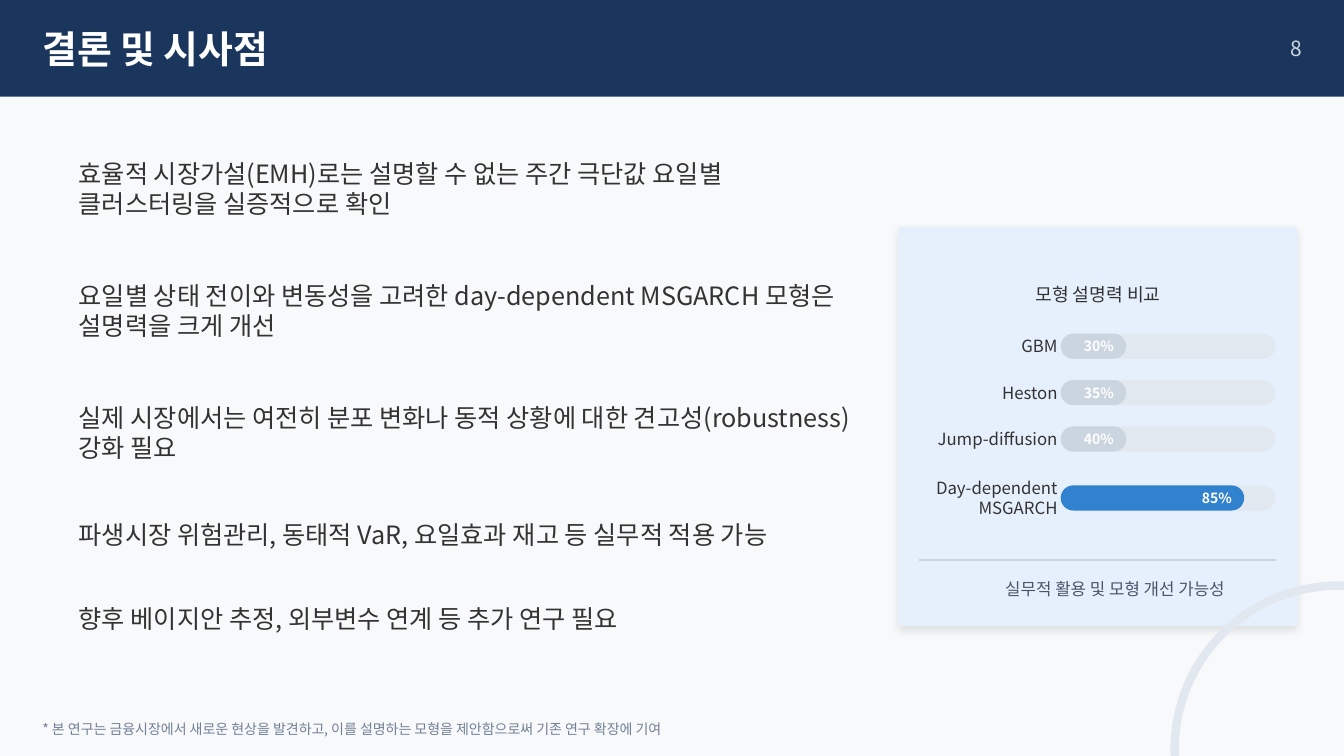
from lxml.etree import SubElement
from pptx import Presentation
from pptx.dml.color import RGBColor
from pptx.enum.shapes import MSO_CONNECTOR as Line, MSO_SHAPE as Kind
from pptx.enum.text import MSO_ANCHOR as Anchor, MSO_AUTO_SIZE as Auto, PP_ALIGN as Align
from pptx.oxml import parse_xml
from pptx.oxml.ns import nsdecls, qn
from pptx.util import Inches, Pt

FONT = "Noto Sans CJK KR"
PAPER = RGBColor(0xF8, 0xF9, 0xFA)
NAVY = RGBColor(0x1A, 0x36, 0x5D)
WHITE = RGBColor(0xFF, 0xFF, 0xFF)
MIST = RGBColor(0xD1, 0xD7, 0xDF)
INK = RGBColor(0x33, 0x33, 0x33)
PALE = RGBColor(0xE6, 0xF0, 0xFD)
TRACK = RGBColor(0xE2, 0xE8, 0xF0)
GRAY = RGBColor(0xCB, 0xD5, 0xE0)
BLUE = RGBColor(0x31, 0x82, 0xCE)
SLATE = RGBColor(0x4A, 0x55, 0x68)
STEEL = RGBColor(0x71, 0x80, 0x96)

POINTS = [
    (["효율적 시장가설(EMH)로는 설명할 수 없는 주간 극단값 요일별", "클러스터링을 실증적으로 확인"], 0),
    (["요일별 상태 전이와 변동성을 고려한 day-dependent MSGARCH 모형은", "설명력을 크게 개선"], 44.3),
    (["실제 시장에서는 여전히 분포 변화나 동적 상황에 대한 견고성(robustness)", "강화 필요"], 44.3),
    (["파생시장 위험관리, 동태적 VaR, 요일효과 재고 등 실무적 적용 가능"], 41.4),
    (["향후 베이지안 추정, 외부변수 연계 등 추가 연구 필요"], 38.5),
]
MODELS = [
    ("GBM", "30%", 0.25, 0.65, GRAY),
    ("Heston", "35%", 0.25, 0.65, GRAY),
    ("Jump-diffusion", "40%", 0.25, 0.65, GRAY),
    ("Day-dependent MSGARCH", "85%", 0.5, 1.82, BLUE),
]


def place(item, x, y, w, h):
    """Move an item to a box given in inches."""
    item.left, item.top, item.width, item.height = map(Inches, (x, y, w, h))


def frame(item, anchor=Anchor.MIDDLE):
    """Return the item's text frame, wrapped and without insets."""
    tf = item.text_frame
    tf.word_wrap = True
    tf.auto_size = Auto.NONE
    tf.vertical_anchor = anchor
    tf.margin_left = tf.margin_top = tf.margin_right = tf.margin_bottom = 0
    return tf


def write(para, lines, size, color, bold=False, align=Align.LEFT, before=0):
    """Fill a paragraph with one run per line."""
    para.alignment = align
    para.line_spacing = Pt(round(size * 1.19, 1))
    para.space_before, para.space_after = Pt(before), Pt(0)
    for i, line in enumerate(lines):
        if i:
            para.add_line_break()
        run = para.add_run()
        run.text = line
        font = run.font
        font.name, font.size, font.bold = FONT, Pt(size), bold
        font.color.rgb = color
        SubElement(font.element if hasattr(font, "element") else run._r.rPr, qn("a:ea")).set("typeface", FONT)


def label(slide, x, y, w, h, text, size, color, **style):
    """Add a text box with one paragraph."""
    box = slide.shapes.add_textbox(*map(Inches, (x, y, w, h)))
    write(frame(box).paragraphs[0], [text], size, color, **style)


def block(slide, kind, x, y, w, h, fill, bend=None):
    """Add a filled shape with no outline or shadow."""
    shape = slide.shapes.add_shape(kind, *map(Inches, (x, y, w, h)))
    shape.shadow.inherit = False
    shape.fill.solid()
    shape.fill.fore_color.rgb = fill
    shape.line.fill.background()
    if bend is not None:
        shape.adjustments[0] = bend
    return shape


def header(slide, x, y, w, h):
    """Draw the title bar with the page number."""
    bar = block(slide, Kind.RECTANGLE, x, y, w, h, NAVY)
    title = slide.shapes.title
    title.element.addprevious(bar.element)
    place(title, x + 0.42, y + 0.21, 6, 0.54)
    write(frame(title).paragraphs[0], ["결론 및 시사점"], 27, WHITE, bold=True)
    label(slide, x + w - 0.53, y + 0.33, 0.28, 0.3, "8", 15, MIST)


def findings(slide, x, y, w, h):
    """Fill the body placeholder with the conclusions."""
    body = slide.placeholders[1]
    place(body, x, y, w, h)
    tf = frame(body, Anchor.TOP)
    for i, (lines, gap) in enumerate(POINTS):
        para = tf.add_paragraph() if i else tf.paragraphs[0]
        write(para, lines, 18, INK, before=gap)
        props = para._p.get_or_add_pPr()
        props.set("marL", "0")
        props.set("indent", "0")
        SubElement(props, qn("a:buNone"))


def meter(slide, x, y, name, value, h, w, color):
    """Draw one model's name, track and bar."""
    label(slide, x, y, 1.37, h, name, 12, INK, align=Align.RIGHT)
    left, top = x + 1.4, y + (h - 0.25) / 2
    block(slide, Kind.ROUNDED_RECTANGLE, left, top, 2.13, 0.25, TRACK, 0.5)
    block(slide, Kind.ROUNDED_RECTANGLE, left, top, w, 0.25, color, 0.5)
    label(slide, left + w - 0.42, top + 0.02, 0.42, 0.21, value, 10, WHITE, bold=True)


def panel(slide, x, y, w, h):
    """Draw the card that compares the models."""
    card = block(slide, Kind.ROUNDED_RECTANGLE, x, y, w, h, PALE, 0.005)
    props = card.element.spPr
    props.remove(props.find(qn("a:effectLst")))
    props.append(parse_xml(
        f'<a:effectLst {nsdecls("a")}><a:outerShdw blurRad="{Pt(6)}" dist="{Pt(3)}" '
        'dir="5400000" algn="ctr" rotWithShape="0"><a:srgbClr val="000000">'
        '<a:alpha val="10000"/></a:srgbClr></a:outerShdw></a:effectLst>'))
    label(slide, x + 0.98, y + 0.53, 2, 0.27, "모형 설명력 비교", 13, INK, align=Align.CENTER)
    top = y + 1.06
    for name, value, tall, wide, color in MODELS:
        meter(slide, x + 0.21, top, name, value, tall, wide, color)
        top += tall + 0.21
    rule = slide.shapes.add_connector(
        Line.STRAIGHT, *map(Inches, (x + 0.21, y + 3.31, x + w - 0.21, y + 3.31)))
    rule.line.color.rgb = GRAY
    rule.line.width = Pt(1.5)
    SubElement(rule.element.spPr, qn("a:effectLst"))
    label(slide, x + 0.9, y + 3.47, 2.5, 0.25, "실무적 활용 및 모형 개선 가능성", 12, SLATE,
          align=Align.CENTER)


def footer(slide, x, y, w, h):
    """Draw the corner ring and the footnote."""
    ring = block(slide, Kind.OVAL, x + 11.23, y - 1.32, 3.25, 3.25, TRACK)
    ring.fill.background()
    ring.line.color.rgb = TRACK
    ring.line.width = Pt(6)
    label(slide, x, y, w, h, "* 본 연구는 금융시장에서 새로운 현상을 발견하고, 이를 설명하는 모형을 "
          "제안함으로써 기존 연구 확장에 기여", 10, STEEL)


def main():
    """Build and save the slide."""
    deck = Presentation()
    deck.slide_width, deck.slide_height = Inches(13.33), Inches(7.5)
    slide = deck.slides.add_slide(deck.slide_layouts[1])
    slide.background.fill.solid()
    slide.background.fill.fore_color.rgb = PAPER
    header(slide, 0, 0, 13.33, 0.96)
    findings(slide, 0.78, 1.57, 7.9, 4.75)
    panel(slide, 8.91, 2.25, 3.96, 3.96)
    footer(slide, 0.42, 7.13, 7, 0.21)
    deck.save("out.pptx")


if __name__ == "__main__":
    main()
